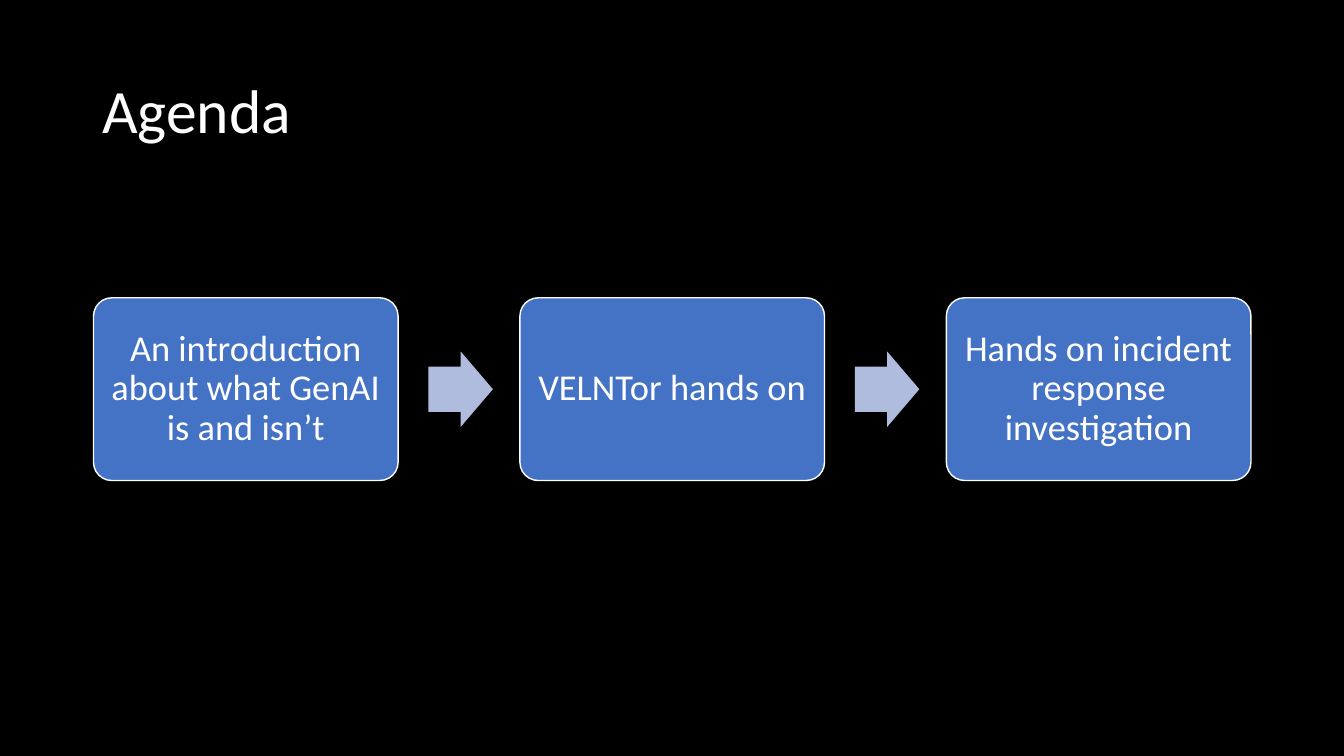
from pptx import Presentation
from pptx.dml.color import RGBColor
from pptx.enum import shapes, text
from pptx.util import Pt

BLACK = RGBColor(0x00, 0x00, 0x00)
WHITE = RGBColor(0xFF, 0xFF, 0xFF)
BLUE = RGBColor(0x44, 0x72, 0xC4)
PALE_BLUE = RGBColor(0xB0, 0xBC, 0xDE)

STEPS = [
    "An introduction about what GenAI is and isn’t",
    "VELNTor hands on",
    "Hands on incident response investigation",
]
LEFT, PITCH, MIDDLE = 66.8, 304.6, 278
BOX_W, BOX_H = 217.6, 130.5
ARROW_OFFSET, ARROW_W, ARROW_H = 239.2, 46.1, 54


def write(sp, words, size, align):
    tf = sp.text_frame
    tf.word_wrap = True
    tf.vertical_anchor = text.MSO_ANCHOR.MIDDLE
    p = tf.paragraphs[0]
    p.text = words
    p.alignment = align
    p.line_spacing = 0.9
    p.font.name = "Calibri"
    p.font.size = Pt(size)
    p.font.color.rgb = WHITE


def add_centred_shape(kind, left, width, height, fill):
    """Add a filled shape centred vertically on the row of steps."""
    sp = slide.shapes.add_shape(kind, Pt(left), Pt(MIDDLE - height / 2), Pt(width), Pt(height))
    sp.shadow.inherit = False
    sp.fill.solid()
    sp.fill.fore_color.rgb = fill
    return sp


prs = Presentation()
prs.slide_width, prs.slide_height = Pt(960), Pt(540)
slide = prs.slides.add_slide(prs.slide_layouts[6])
slide.background.fill.solid()
slide.background.fill.fore_color.rgb = BLACK

title = slide.shapes.add_textbox(Pt(66), Pt(28.8), Pt(828), Pt(104.4))
write(title, "Agenda", 44, text.PP_ALIGN.LEFT)

for i, step in enumerate(STEPS):
    left = LEFT + i * PITCH
    box = add_centred_shape(shapes.MSO_SHAPE.ROUNDED_RECTANGLE, left, BOX_W, BOX_H, BLUE)
    box.adjustments[0] = 0.1
    box.line.color.rgb = WHITE
    box.line.width = Pt(1)
    tf = box.text_frame
    tf.margin_left = tf.margin_right = tf.margin_top = tf.margin_bottom = Pt(8)
    write(box, step, 26, text.PP_ALIGN.CENTER)

    if i < len(STEPS) - 1:
        arrow = add_centred_shape(shapes.MSO_SHAPE.RIGHT_ARROW, left + ARROW_OFFSET,
                                  ARROW_W, ARROW_H, PALE_BLUE)
        arrow.adjustments[0] = 0.6
        arrow.line.fill.background()

prs.save("out.pptx")
